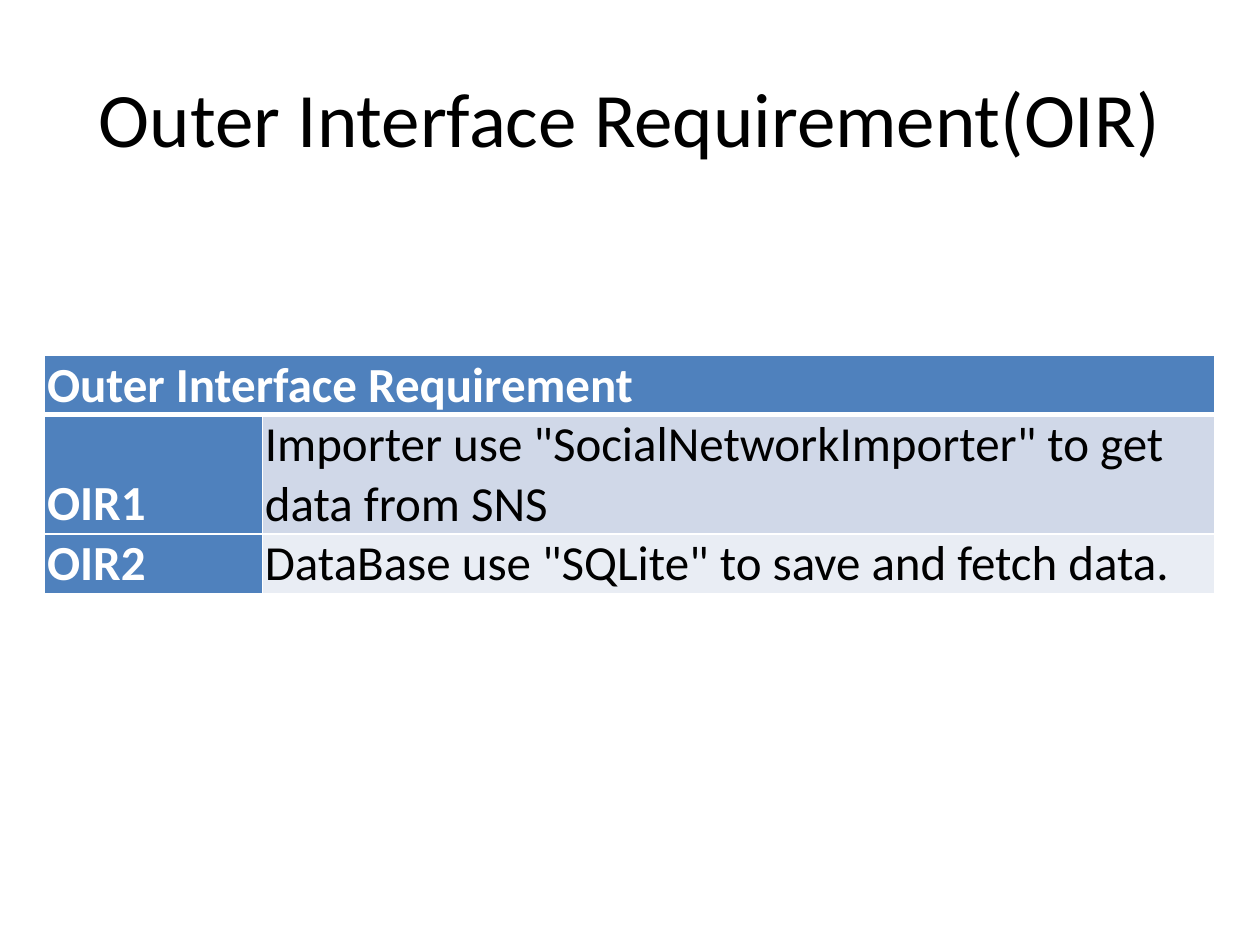
from lxml import etree
from pptx import Presentation
from pptx.dml.color import RGBColor
from pptx.enum.text import MSO_ANCHOR, PP_ALIGN
from pptx.oxml.ns import qn
from pptx.util import Cm, Pt

BLACK = RGBColor(0x00, 0x00, 0x00)
WHITE = RGBColor(0xFF, 0xFF, 0xFF)
BLUE = RGBColor(0x4F, 0x81, 0xBD)
LIGHT_BLUE = RGBColor(0xD0, 0xD8, 0xE8)
PALE_BLUE = RGBColor(0xE9, 0xED, 0xF4)


def style_text(paragraph, size, color, bold=False):
    font = paragraph.font
    font.name, font.size, font.bold = "Calibri", Pt(size), bold
    font.color.rgb = color


def add_borders(cell, bottom_width):
    # Border lines must come before the fill in the cell properties
    properties = cell._tc.get_or_add_tcPr()
    widths = {"a:lnL": 1, "a:lnR": 1, "a:lnT": 1, "a:lnB": bottom_width}
    for index, (tag, width) in enumerate(widths.items()):
        line = etree.Element(qn(tag), w=str(Pt(width)))
        fill = etree.SubElement(line, qn("a:solidFill"))
        etree.SubElement(fill, qn("a:srgbClr"), val=str(WHITE))
        properties.insert(index, line)


prs = Presentation()
prs.slide_width, prs.slide_height = Cm(25.4), Cm(19.05)
slide = prs.slides.add_slide(prs.slide_layouts[6])

# Title
title = slide.shapes.add_textbox(Cm(1.27), Cm(0.76), Cm(22.86), Cm(3.18)).text_frame
title.word_wrap = True
title.vertical_anchor = MSO_ANCHOR.MIDDLE
heading = title.paragraphs[0]
heading.text = "Outer Interface Requirement(OIR)"
heading.alignment = PP_ALIGN.CENTER
style_text(heading, 44, BLACK)

# Requirements table
rows = [
    ("Outer Interface Requirement", "", BLUE),
    ("OIR1", 'Importer use "SocialNetworkImporter" to get data from SNS', LIGHT_BLUE),
    ("OIR2", 'DataBase use "SQLite" to save and fetch data.', PALE_BLUE),
]
column_widths = [Cm(4.39), Cm(19.2)]
row_heights = [Cm(1.18), Cm(2.41), Cm(1.2)]
requirements = slide.shapes.add_table(
    len(rows), 2, Cm(0.9), Cm(7.17), sum(column_widths), sum(row_heights)
).table
for column, width in zip(requirements.columns, column_widths):
    column.width = width
for row, height in zip(requirements.rows, row_heights):
    row.height = height

for r, (label, description, band) in enumerate(rows):
    for c, text in enumerate((label, description)):
        cell = requirements.cell(r, c)
        is_header = r == 0 or c == 0
        cell.text = text
        cell.vertical_anchor = MSO_ANCHOR.BOTTOM
        cell.margin_left = cell.margin_right = Cm(0.05)
        cell.margin_top = cell.margin_bottom = 0
        cell.fill.solid()
        cell.fill.fore_color.rgb = BLUE if is_header else band
        style_text(cell.text_frame.paragraphs[0], 28, WHITE if is_header else BLACK, is_header)
        add_borders(cell, 3 if r == 0 else 1)
requirements.cell(0, 0).merge(requirements.cell(0, 1))

prs.save("out.pptx")
